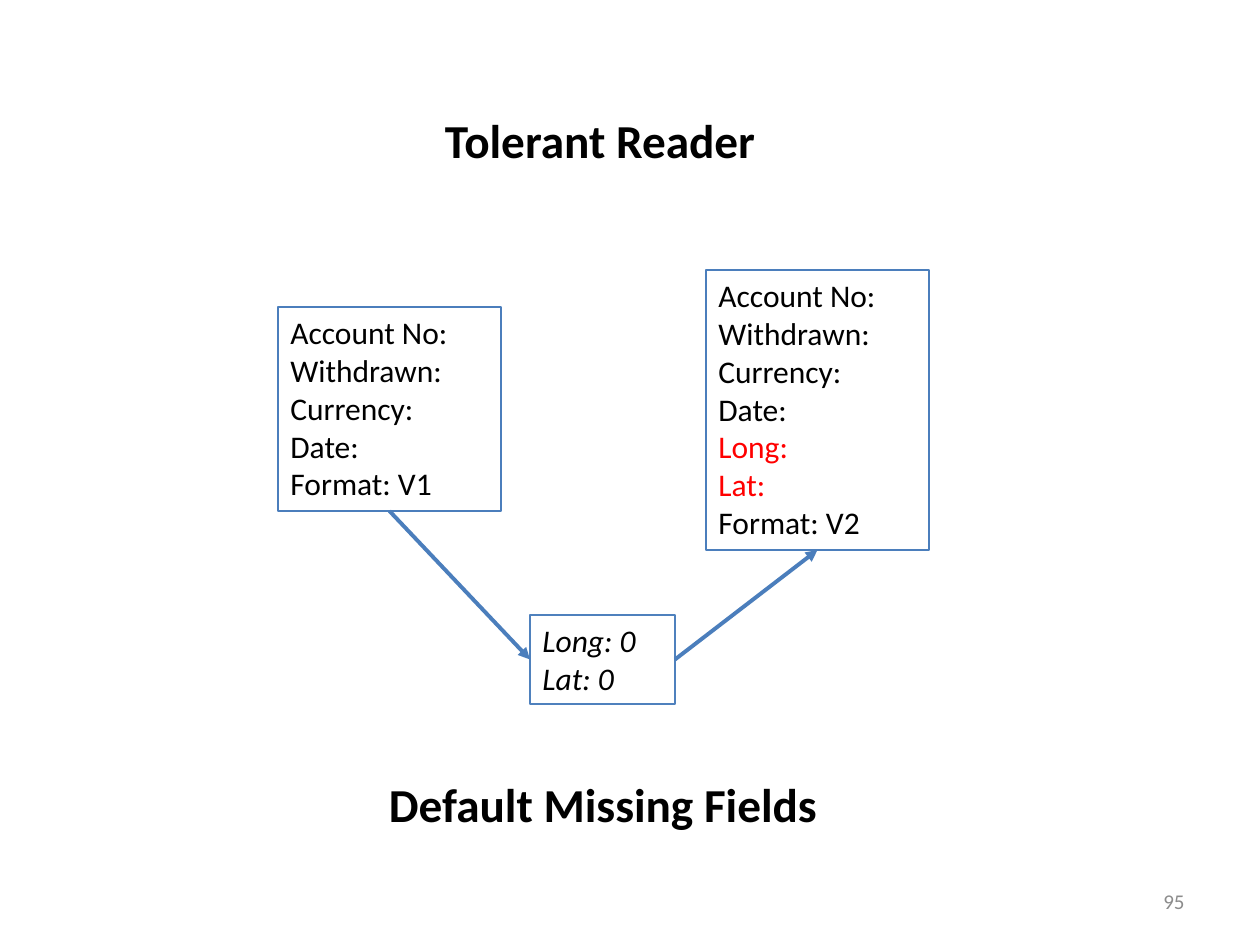
import dataclasses
import lxml.etree
import pptx
import pptx.dml.color
import pptx.enum.shapes
import pptx.enum.text
import pptx.oxml.ns
import pptx.util

Anchor = pptx.enum.text.MSO_ANCHOR
Align = pptx.enum.text.PP_ALIGN
Fit = pptx.enum.text.MSO_AUTO_SIZE
TOP, LEFT, BOTTOM, RIGHT = range(4)


@dataclasses.dataclass(frozen=True)
class Theme:
    font: str = "Calibri"
    ink: str = "000000"
    hot: str = "FF0000"
    mute: str = "8C8C8C"
    edge: str = "4B7EBC"
    rim: str = "4F81BD"
    head: int = 27
    body: int = 18
    note: int = 12
    thin: float = 0.75
    thick: float = 2.25


def px(count):
    return pptx.util.Emu(round(count * 914400 / 126))


def rgb(code):
    return pptx.dml.color.RGBColor.from_string(code)


def apply(target, form):
    for key, value in form.items():
        setattr(target, key, value)


class Board:
    def __init__(self, deck, theme):
        self.theme = theme
        self.slide = deck.slides.add_slide(deck.slide_layouts[6])

    def letter(self, shape, lines, size, color=None, hot=(),
               align=Align.LEFT, anchor=Anchor.TOP, fit=Fit.SHAPE_TO_FIT_TEXT, **form):
        frame = shape.text_frame
        frame.text = "\n".join(lines)
        apply(frame, dict(word_wrap=True, auto_size=fit, vertical_anchor=anchor))
        form = dict(name=self.theme.font, size=pptx.util.Pt(size), **form)
        for para in frame.paragraphs:
            para.alignment = align
            for run in para.runs:
                apply(run.font, form)
                tint = self.theme.hot if run.text in hot else color or self.theme.ink
                run.font.color.rgb = rgb(tint)

    def stroke(self, line, color, width):
        line.color.rgb = rgb(color)
        line.width = pptx.util.Pt(width)

    def label(self, area, text, size, **form):
        box = self.slide.shapes.add_textbox(*map(px, area))
        self.letter(box, [text], size, **form)

    def title(self, area, text):
        self.label(area, text, self.theme.head, align=Align.CENTER, bold=True)

    def card(self, area, lines, edge=None, **form):
        kind = pptx.enum.shapes.MSO_SHAPE.RECTANGLE
        box = self.slide.shapes.add_shape(kind, *map(px, area))
        box.shadow.inherit = False
        box.fill.background()
        self.stroke(box.line, edge or self.theme.edge, self.theme.thin)
        self.letter(box, lines, self.theme.body, **form)
        return box

    def arrow(self, start, out, end, into):
        kind = pptx.enum.shapes.MSO_CONNECTOR.STRAIGHT
        link = self.slide.shapes.add_connector(kind, 0, 0, 0, 0)
        link.begin_connect(start, out)
        link.end_connect(end, into)
        self.stroke(link.line, self.theme.edge, self.theme.thick)
        qn = pptx.oxml.ns.qn
        props = link.element.spPr
        tip = lxml.etree.SubElement(props.find(qn("a:ln")), qn("a:tailEnd"))
        tip.set("type", "triangle")
        lxml.etree.SubElement(props, qn("a:effectLst"))


def main():
    deck = pptx.Presentation()
    apply(deck, dict(slide_width=px(1260), slide_height=px(945)))
    theme = Theme()
    board = Board(deck, theme)
    base = ["Account No:", "Withdrawn:", "Currency:", "Date:"]
    extra = ["Long:", "Lat:"]

    board.label((903, 876, 294, 50), "95", theme.note, color=theme.mute,
                align=Align.RIGHT, anchor=Anchor.MIDDLE, fit=Fit.NONE)
    newer = board.card((706, 270, 223, 280), base + extra + ["Format: V2"], hot=extra)
    older = board.card((278, 307, 223, 204), base + ["Format: V1"])
    filler = board.card((530, 615, 145, 89), ["Long: 0", "Lat: 0"],
                        edge=theme.rim, italic=True)
    board.title((365, 105, 470, 71), "Tolerant Reader")
    board.arrow(older, BOTTOM, filler, LEFT)
    board.arrow(filler, RIGHT, newer, BOTTOM)
    board.title((368, 769, 470, 71), "Default Missing Fields")
    deck.save("out.pptx")


if __name__ == "__main__":
    main()
